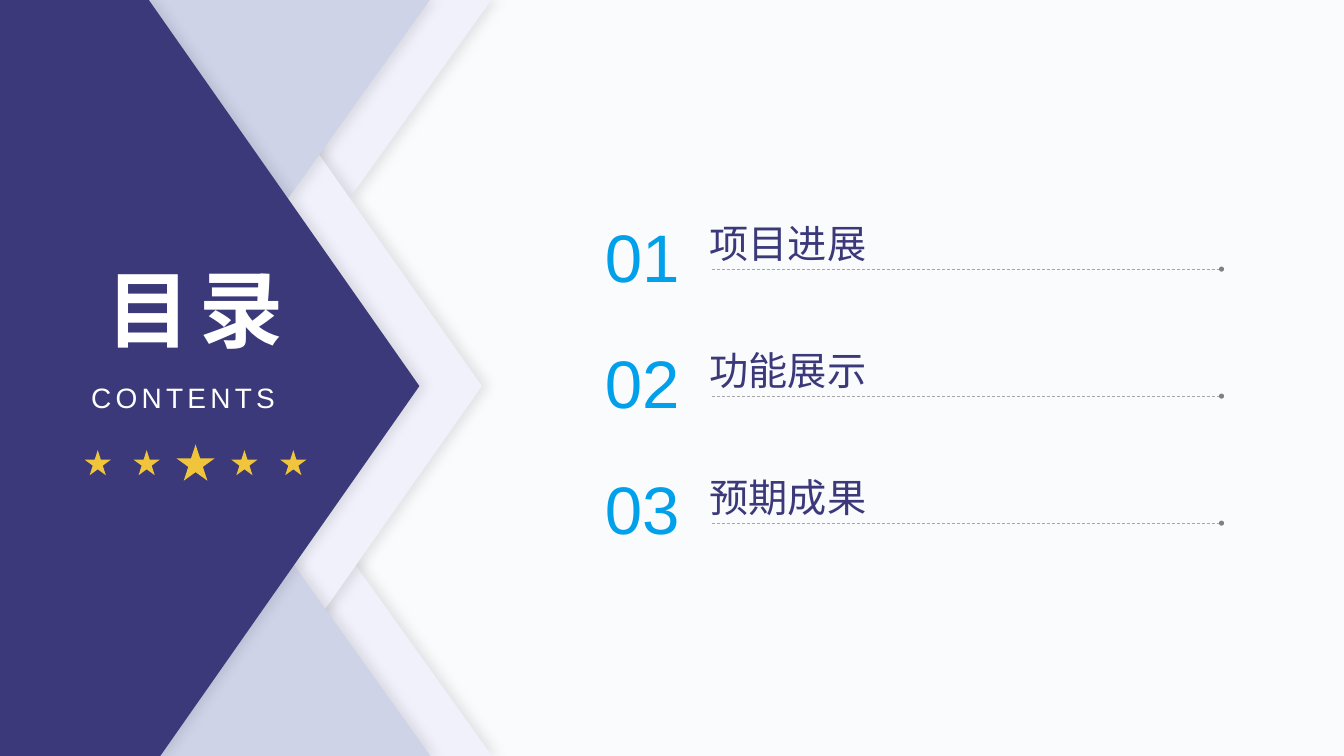
import dataclasses
import typing

import pptx
import pptx.dml.color
import pptx.enum.dml
import pptx.enum.shapes
import pptx.enum.text
import pptx.oxml
import pptx.oxml.ns
import pptx.util

Inches = pptx.util.Inches
Shape = pptx.enum.shapes.MSO_SHAPE
Align = pptx.enum.text.PP_ALIGN
Anchor = pptx.enum.text.MSO_ANCHOR


@dataclasses.dataclass(frozen=True)
class Theme:
    font: str = "Arial"
    backdrop: str = "FAFBFD"
    navy: str = "3B397A"
    pale: str = "F0F1FA"
    lilac: str = "CFD3E8"
    gold: str = "F0C53B"
    blue: str = "00A0EA"
    rule: str = "A6A6A6"
    dot: str = "808080"
    white: str = "FFFFFF"
    title_size: int = 60
    subtitle_size: int = 20
    number_size: int = 48
    item_size: int = 28


class Area(typing.NamedTuple):
    left: float
    top: float
    width: float
    height: float


class Layer(typing.NamedTuple):
    color: str
    triangle_left: float
    arrow: list[tuple[float, float]]


class Label(typing.NamedTuple):
    text: str
    area: Area
    size: int
    color: str
    align: Align = Align.CENTER
    anchor: Anchor = Anchor.TOP
    wrap: bool = True
    bold: bool = False
    tracking: int = 0
    line_spacing: float = 1.0


THEME = Theme()
SIZE = Area(0, 0, 13.33, 7.5)
LAYERS = [
    Layer(THEME.pale, 2.05,
          [(0.62, -0.01), (2.08, -0.01), (4.78, 3.83), (2.2, 7.5), (0.62, 7.5)]),
    Layer(THEME.lilac, 1.44,
          [(0, -0.01), (1.47, -0.01), (4.16, 3.83), (1.59, 7.5), (0, 7.5)]),
]
ARROW_COLORS = [THEME.pale, THEME.navy]
ITEMS = ["项目进展", "功能展示", "预期成果"]
ITEM_PITCH = 1.26
NUMBER_PITCH = 1.25
STAR_PITCH = 0.485


def assign(target: typing.Any, values: dict[str, typing.Any]) -> None:
    for name, value in values.items():
        setattr(target, name, value)


def rgb(color: str) -> pptx.dml.color.RGBColor:
    return pptx.dml.color.RGBColor.from_string(color)


def paint(shape: typing.Any, color: str) -> None:
    shape.shadow.inherit = False
    shape.fill.solid()
    shape.fill.fore_color.rgb = rgb(color)
    shape.line.fill.background()


def add_preset(shapes: typing.Any, kind: Shape, area: Area, color: str) -> typing.Any:
    shape = shapes.add_shape(kind, *map(Inches, area))
    paint(shape, color)
    return shape


def cast_shadow(shape: typing.Any) -> None:
    effects = shape._element.spPr.find(pptx.oxml.ns.qn("a:effectLst"))
    effects.append(pptx.oxml.parse_xml(
        f'<a:outerShdw {pptx.oxml.ns.nsdecls("a")} blurRad="{pptx.util.Pt(9)}" '
        f'dist="{pptx.util.Pt(4)}" dir="0" algn="l" rotWithShape="0">'
        '<a:srgbClr val="000000"><a:alpha val="10000"/></a:srgbClr></a:outerShdw>'))


def add_layer(page: typing.Any, layer: Layer, arrow_color: str) -> None:
    for top, rotation in ((5.52, 0), (-0.01, 180)):
        area = Area(layer.triangle_left, top, 2.83, 1.98)
        triangle = add_preset(page.shapes, Shape.ISOSCELES_TRIANGLE, area, layer.color)
        triangle.rotation = rotation
        cast_shadow(triangle)
    points = [(Inches(x), Inches(y)) for x, y in layer.arrow]
    builder = page.shapes.build_freeform(*points[0])
    builder.add_line_segments(points[1:], close=True)
    arrow = builder.convert_to_shape()
    paint(arrow, arrow_color)
    cast_shadow(arrow)


def add_label(page: typing.Any, label: Label) -> typing.Any:
    box = page.shapes.add_textbox(*map(Inches, label.area))
    assign(box.text_frame, {
        "word_wrap": label.wrap,
        "auto_size": pptx.enum.text.MSO_AUTO_SIZE.SHAPE_TO_FIT_TEXT,
        "vertical_anchor": label.anchor,
    })
    para = box.text_frame.paragraphs[0]
    assign(para, {"alignment": label.align, "line_spacing": label.line_spacing})
    span = para.add_run()
    span.text = label.text
    assign(span.font, {
        "name": THEME.font,
        "size": pptx.util.Pt(label.size),
        "bold": label.bold,
    })
    span.font.color.rgb = rgb(label.color)
    if label.tracking:
        span.font._element.set("spc", str(label.tracking * 100))
    return box


def add_stars(page: typing.Any) -> None:
    group = page.shapes.add_group_shape()
    for index in range(5):
        width, height = (0.38, 0.36) if index == 2 else (0.26, 0.25)
        center = 1.94 + (index - 2) * STAR_PITCH
        area = Area(center - width / 2, 4.59 - height / 2, width, height)
        add_preset(group.shapes, Shape.STAR_5_POINT, area, THEME.gold)


def add_rule(page: typing.Any, y: float) -> None:
    group = page.shapes.add_group_shape()
    line = group.shapes.add_connector(
        pptx.enum.shapes.MSO_CONNECTOR.STRAIGHT,
        Inches(7.06), Inches(y), Inches(12.13), Inches(y))
    assign(line.line, {
        "width": pptx.util.Pt(0.5),
        "dash_style": pptx.enum.dml.MSO_LINE.DASH,
    })
    line.line.color.rgb = rgb(THEME.rule)
    line._element.spPr.append(pptx.oxml.parse_xml(
        f'<a:effectLst {pptx.oxml.ns.nsdecls("a")}/>'))
    add_preset(group.shapes, Shape.OVAL, Area(12.09, y - 0.025, 0.05, 0.05), THEME.dot)


def add_item(page: typing.Any, index: int, text: str) -> None:
    offset = index * ITEM_PITCH
    add_rule(page, 2.67 + offset)
    add_label(page, Label(
        text, Area(6.94, 2.12 + offset, 1.77, 0.57), THEME.item_size, THEME.navy,
        align=Align.LEFT, anchor=Anchor.MIDDLE, wrap=False))
    add_label(page, Label(
        f"{index + 1:02}", Area(5.8, 2.17 + index * NUMBER_PITCH, 1.14, 0.83),
        THEME.number_size, THEME.blue, anchor=Anchor.MIDDLE, line_spacing=0.9))


def main() -> None:
    deck = pptx.Presentation()
    assign(deck, {"slide_width": Inches(SIZE.width), "slide_height": Inches(SIZE.height)})
    page = deck.slides.add_slide(deck.slide_layouts[6])
    add_preset(page.shapes, Shape.RECTANGLE, SIZE, THEME.backdrop)
    for layer, arrow_color in zip(LAYERS, ARROW_COLORS):
        add_layer(page, layer, arrow_color)
    add_label(page, Label(
        "目录", Area(0.68, 2.51, 2.51, 1.11), THEME.title_size, THEME.white,
        bold=True, tracking=6))
    subtitle = add_label(page, Label(
        "CONTENTS", Area(1.67, 2.86, 0.54, 2.27), THEME.subtitle_size, THEME.white,
        tracking=3))
    subtitle.rotation = 270
    subtitle.text_frame._txBody.bodyPr.set("vert", "eaVert")
    add_stars(page)
    for index, text in enumerate(ITEMS):
        add_item(page, index, text)
    deck.save("out.pptx")


if __name__ == "__main__":
    main()
